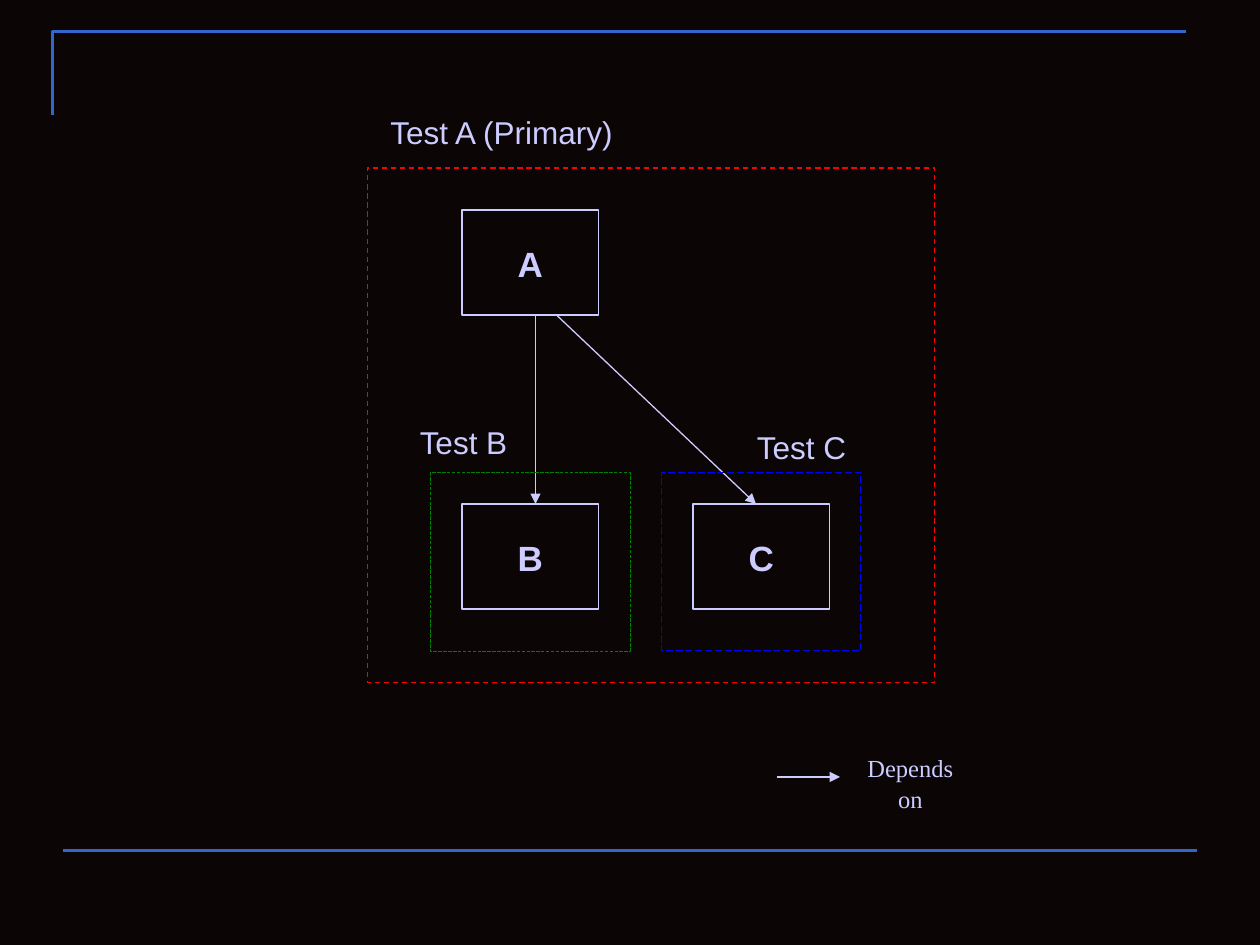
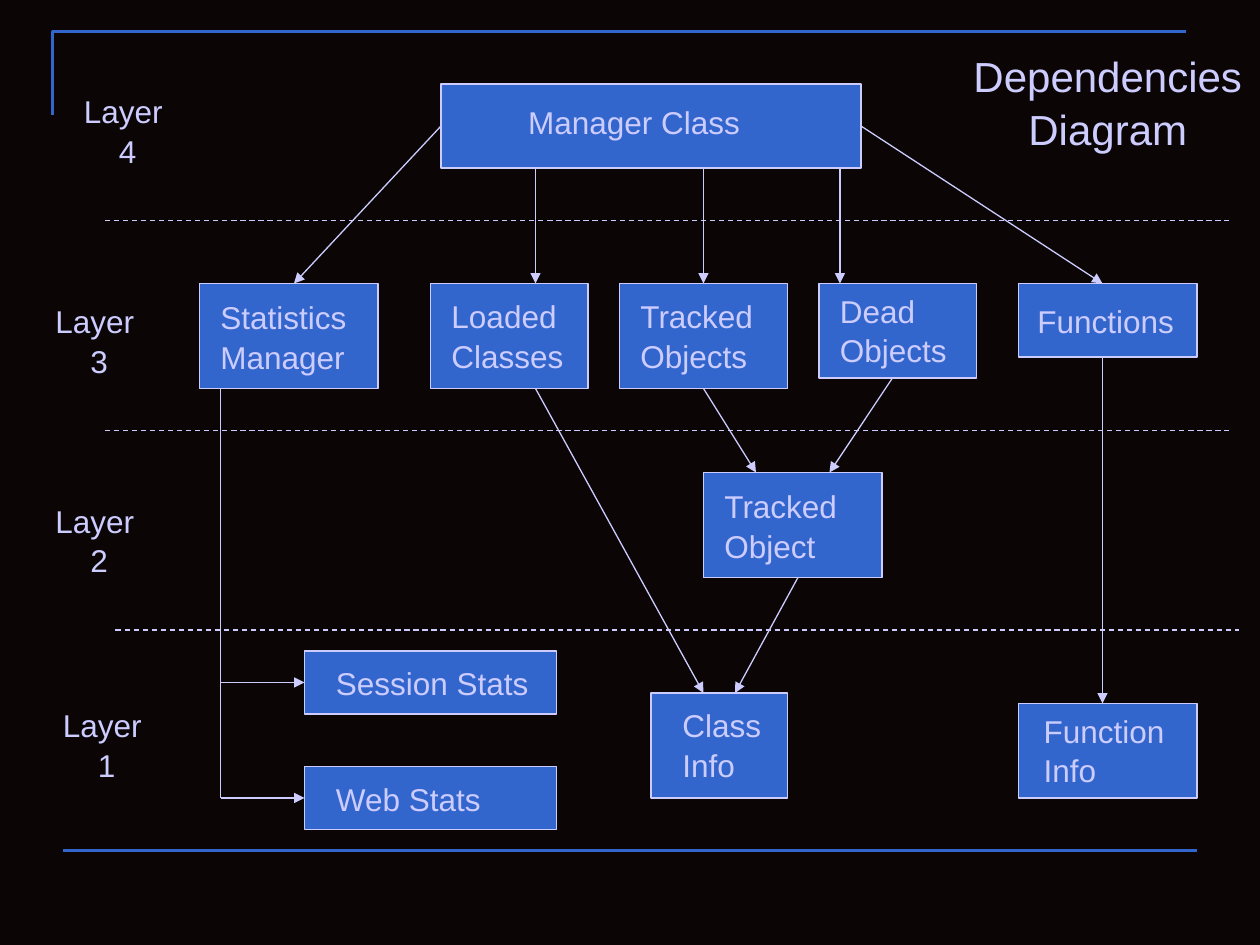
from typing import NamedTuple, Optional

from lxml.etree import SubElement
from pptx import Presentation
from pptx.dml.color import RGBColor
from pptx.enum.dml import MSO_LINE
from pptx.enum.shapes import MSO_CONNECTOR, MSO_SHAPE
from pptx.enum.text import MSO_ANCHOR, MSO_AUTO_SIZE, PP_ALIGN
from pptx.oxml.ns import qn
from pptx.util import Emu, Pt

PX = 7620
COLORS = {
    "background": "0B0506",
    "band": "3366CC",
    "ink": "CCCCFF",
    "test_a": "FF0000",
    "test_b": "008000",
    "test_c": "0000FF",
}
LINE_SPACING = 1.05
TITLE_ONLY, BLANK = 5, 6


class Area(NamedTuple):
    left: int
    top: int
    width: int
    height: int

    def emu(self) -> list:
        return [px(value) for value in self]

    def side_middles(self) -> list:
        center = self.left + self.width / 2
        middle = self.top + self.height / 2
        return [
            (center, self.top),
            (self.left, middle),
            (center, self.top + self.height),
            (self.left + self.width, middle),
        ]


class TextStyle(NamedTuple):
    size: int = 18
    font: str = "Arial"
    bold: bool = False
    align: PP_ALIGN = PP_ALIGN.LEFT


class Label(NamedTuple):
    text: str
    area: Area
    style: TextStyle = TextStyle()


class Node(NamedTuple):
    text: str
    area: Area
    inset_left: int = 20
    inset_top: int = 11


class Frame(NamedTuple):
    area: Area
    color: str
    width: float
    dash: MSO_LINE


class Line(NamedTuple):
    start: tuple
    end: tuple
    color: str = "ink"
    width: float = 0.75
    dash: Optional[MSO_LINE] = None
    arrow: bool = True


CENTERED = TextStyle(align=PP_ALIGN.CENTER)
LETTER = TextStyle(size=20, bold=True, align=PP_ALIGN.CENTER)
LEGEND = TextStyle(size=14, font="Times New Roman", align=PP_ALIGN.CENTER)
TITLE = TextStyle(size=24, align=PP_ALIGN.CENTER)

FOOTER_RULE = Line((60, 810), (1140, 810), "band", 1.5, arrow=False)

TEST_UNITS = [
    Node("A", Area(440, 200, 130, 100)),
    Node("B", Area(440, 480, 130, 100)),
    Node("C", Area(660, 480, 130, 100)),
]
TEST_FRAMES = [
    Frame(Area(410, 450, 190, 170), "test_b", 0.25, MSO_LINE.LONG_DASH),
    Frame(Area(350, 160, 540, 490), "test_a", 0.75, MSO_LINE.DASH),
    Frame(Area(630, 450, 190, 170), "test_c", 0.5, MSO_LINE.LONG_DASH),
]
TEST_LABELS = [
    Label("Test A (Primary)", Area(360, 100, 242, 48)),
    Label("Test B", Area(388, 395, 110, 48)),
    Label("Test C", Area(709, 400, 112, 48)),
    Label("Depends on", Area(800, 710, 134, 41), LEGEND),
]
TEST_LINES = [
    Line((510, 300), (510, 480)),
    Line((530, 300), (720, 480)),
    Line((740, 740), (800, 740)),
]

CLASSES = [
    Node("Manager Class", Area(420, 80, 400, 80), 83, 16),
    Node("Statistics\nManager", Area(190, 270, 170, 100), inset_top=12),
    Node("Loaded\nClasses", Area(410, 270, 150, 100)),
    Node("Tracked\nObjects", Area(590, 270, 160, 100)),
    Node("Dead\nObjects", Area(780, 270, 150, 90), inset_top=6),
    Node("Functions", Area(970, 270, 170, 70), 18, 16),
    Node("Tracked\nObject", Area(670, 450, 170, 100), inset_top=12),
    Node("Session Stats", Area(290, 620, 240, 60), 30),
    Node("Web Stats", Area(290, 730, 240, 60), 30),
    Node("Class\nInfo", Area(620, 660, 130, 100), 30),
    Node("Function\nInfo", Area(970, 670, 170, 90), 24, 6),
]
CLASS_LINES = [
    Line((210, 370), (210, 760), arrow=False),
    Line((210, 650), (290, 650)),
    Line((210, 760), (290, 760)),
    Line((420, 120), (280, 270)),
    Line((510, 160), (510, 270)),
    Line((670, 160), (670, 270)),
    Line((800, 160), (800, 270)),
    Line((820, 120), (1050, 270)),
    Line((670, 370), (720, 450)),
    Line((850, 360), (790, 450)),
    Line((510, 370), (670, 660)),
    Line((760, 550), (700, 660)),
    Line((1050, 340), (1050, 670)),
]
LAYER_DIVIDERS = [
    Line((left, top), (left + 1070, top), dash=MSO_LINE.DASH, arrow=False)
    for left, top in [(100, 210), (100, 410), (110, 600)]
]
LAYER_LABELS = [
    Label(f"Layer \n{number}", Area(left, top, 107, 84), CENTERED)
    for number, left, top in [(4, 68, 80), (3, 41, 280), (2, 41, 470), (1, 48, 665)]
]


def px(value: float) -> Emu:
    return Emu(int(value * PX))


def rgb(name: str) -> RGBColor:
    return RGBColor.from_string(COLORS[name])


def write(text_frame, text: str, style: TextStyle) -> None:
    text_frame.text = text
    for paragraph in text_frame.paragraphs:
        paragraph.alignment = style.align
        paragraph.line_spacing = LINE_SPACING
        for span in paragraph.runs:
            span.font.name = style.font
            span.font.size = Pt(style.size)
            span.font.bold = style.bold
            span.font.color.rgb = rgb("ink")


def outline(shape, color: str, width: float, dash: Optional[MSO_LINE] = None) -> None:
    shape.line.color.rgb = rgb(color)
    shape.line.width = Pt(width)
    if dash is not None:
        shape.line.dash_style = dash


def draw_rectangle(page, area: Area, fill: Optional[str] = None):
    box = page.shapes.add_shape(MSO_SHAPE.RECTANGLE, *area.emu())
    box.shadow.inherit = False
    if fill:
        box.fill.solid()
        box.fill.fore_color.rgb = rgb(fill)
    else:
        box.fill.background()
    outline(box, "ink", 0.75)
    return box


def draw_letter(page, node: Node):
    box = draw_rectangle(page, node.area)
    box.text_frame.vertical_anchor = MSO_ANCHOR.MIDDLE
    write(box.text_frame, node.text, LETTER)
    return box


def draw_class(page, node: Node):
    box = draw_rectangle(page, node.area, "band")
    text_frame = box.text_frame
    text_frame.vertical_anchor = MSO_ANCHOR.TOP
    text_frame.margin_left = px(node.inset_left)
    text_frame.margin_top = px(node.inset_top)
    text_frame.margin_right = text_frame.margin_bottom = 0
    write(text_frame, node.text, TextStyle())
    return box


def draw_frame(page, frame: Frame) -> None:
    box = draw_rectangle(page, frame.area)
    outline(box, frame.color, frame.width, frame.dash)


def draw_label(page, label: Label) -> None:
    box = page.shapes.add_textbox(*label.area.emu())
    box.text_frame.word_wrap = False
    write(box.text_frame, label.text, label.style)


def draw_line(page, line: Line, joints: dict) -> None:
    connector = page.shapes.add_connector(
        MSO_CONNECTOR.STRAIGHT, *map(px, line.start + line.end)
    )
    if line.start in joints:
        connector.begin_connect(*joints[line.start])
    if line.end in joints:
        connector.end_connect(*joints[line.end])
    outline(connector, line.color, line.width, line.dash)
    properties = connector.element.spPr
    if line.arrow:
        SubElement(properties.find(qn("a:ln")), qn("a:tailEnd"), type="triangle")
    SubElement(properties, qn("a:effectLst"))


def draw_graph(page, nodes: list, lines: list, draw_node) -> None:
    joints = {}
    for node in nodes:
        box = draw_node(page, node)
        for side, point in enumerate(node.area.side_middles()):
            joints[point] = (box, side)
    for line in lines:
        draw_line(page, line, joints)


def add_page(deck, layout: int):
    page = deck.slides.add_slide(deck.slide_layouts[layout])
    builder = page.shapes.build_freeform(50, 110, scale=PX)
    builder.add_line_segments([(50, 30), (1130, 30)], close=False)
    corner = builder.convert_to_shape()
    corner.shadow.inherit = False
    corner.fill.background()
    outline(corner, "band", 1.5)
    draw_line(page, FOOTER_RULE, {})
    return page


def build_test_page(deck) -> None:
    page = add_page(deck, BLANK)
    draw_graph(page, TEST_UNITS, TEST_LINES, draw_letter)
    for frame in TEST_FRAMES:
        draw_frame(page, frame)
    for label in TEST_LABELS:
        draw_label(page, label)


def build_class_page(deck) -> None:
    page = add_page(deck, TITLE_ONLY)
    title = page.shapes.title
    title.left, title.top, title.width, title.height = Area(910, 40, 290, 108).emu()
    title.text_frame.vertical_anchor = MSO_ANCHOR.TOP
    title.text_frame.auto_size = MSO_AUTO_SIZE.NONE
    write(title.text_frame, "Dependencies\nDiagram", TITLE)
    draw_graph(page, CLASSES, CLASS_LINES + LAYER_DIVIDERS, draw_class)
    for label in LAYER_LABELS:
        draw_label(page, label)


def main() -> None:
    deck = Presentation()
    deck.slide_width, deck.slide_height = px(1200), px(900)
    background = deck.slide_master.background.fill
    background.solid()
    background.fore_color.rgb = rgb("background")
    build_test_page(deck)
    build_class_page(deck)
    deck.save("out.pptx")


if __name__ == "__main__":
    main()
